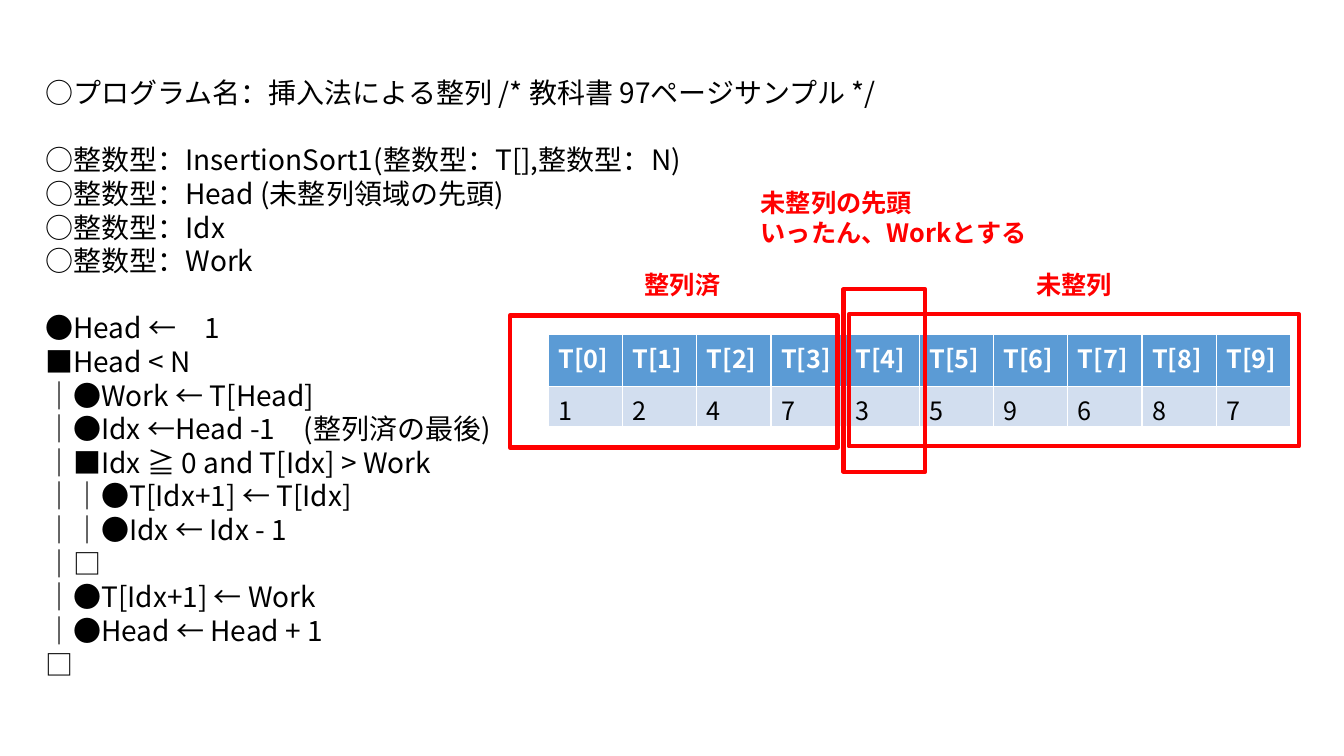
import pptx
import pptx.dml.color
import pptx.enum.shapes
import pptx.enum.text
import pptx.oxml.ns
import pptx.util
from dataclasses import dataclass

Cm, Pt = pptx.util.Cm, pptx.util.Pt

# Content: blocks of program lines, separated by a line of space
PROGRAM = [
    ["○プログラム名：挿入法による整列 /* 教科書 97ページサンプル */"],
    ["○整数型：InsertionSort1(整数型：T[],整数型：N)",
     "○整数型：Head (未整列領域の先頭)",
     "○整数型：Idx",
     "○整数型：Work"],
    ["●Head ←　1",
     "■Head < N",
     "｜●Work ← T[Head]",
     "｜●Idx ←Head -1　(整列済の最後)",
     "｜■Idx ≧ 0 and T[Idx] > Work",
     "｜｜●T[Idx+1] ← T[Idx]",
     "｜｜●Idx ← Idx - 1",
     "｜□",
     "｜●T[Idx+1] ← Work",
     "｜●Head ← Head + 1",
     "□"],
]
VALUES = [1, 2, 4, 7, 3, 5, 9, 6, 8, 7]

# Each area of the array: frame box, label lines, label box, label wraps (cm)
AREAS = [
    ((12.85, 7.95, 8.26, 3.33), ["整列済"], (16.0, 6.65, 2.44, 1.02), False),
    ((21.39, 7.92, 11.35, 3.33), ["未整列"], (25.86, 6.65, 2.44, 1.02), False),
    ((21.26, 7.29, 2.06, 4.6), ["未整列の先頭", "いったん、Workとする"],
     (18.92, 4.6, 7.21, 1.8), True),
]
PROGRAM_BOX = (0.89, 1.78, 22.02, 15.65)
TABLE_LEFT, TABLE_TOP, COLUMN = 13.82, 8.43, 1.87
ROWS = (1.3, 1.02)


@dataclass(frozen=True)
class Theme:
    font: str = "Noto Sans CJK JP"
    text: str = "000000"
    header_text: str = "FFFFFF"
    header_fill: str = "5B9BD5"
    value_fill: str = "D2DEEF"
    mark: str = "FF0000"
    program_size: int = 20
    block_gap: int = 24
    array_size: int = 18
    frame_line: int = 3


THEME = Theme()


def rgb(color):
    return pptx.dml.color.RGBColor.from_string(color)


def add_run(p, text, size, color, bold=False):
    r = p.add_run()
    r.text = text
    r.font.size = Pt(size)
    r.font.bold = bold
    r.font.color.rgb = rgb(color)
    r.font.name = THEME.font
    ea = r.font._element.makeelement(pptx.oxml.ns.qn("a:ea"), {"typeface": THEME.font})
    r.font._element.append(ea)


def add_text(s, box, blocks, size, color, bold=False, wrap=True):
    tf = s.shapes.add_textbox(*map(Cm, box)).text_frame
    tf.word_wrap = wrap
    tf.auto_size = pptx.enum.text.MSO_AUTO_SIZE.SHAPE_TO_FIT_TEXT
    p = tf.paragraphs[0]
    for b, lines in enumerate(blocks):
        for i, line in enumerate(lines):
            if b or i:
                p = tf.add_paragraph()
            if b and i == 0:
                p.space_before = Pt(THEME.block_gap)
            add_run(p, line, size, color, bold)


def add_array(s):
    # The default table style supplies the white cell borders
    table = s.shapes.add_table(2, len(VALUES), Cm(TABLE_LEFT), Cm(TABLE_TOP),
                               Cm(COLUMN * len(VALUES)), Cm(sum(ROWS))).table
    for row, height in zip(table.rows, ROWS):
        row.height = Cm(height)
    for i, value in enumerate(VALUES):
        table.columns[i].width = Cm(COLUMN)
        styles = [(f"T[{i}]", THEME.header_fill, THEME.header_text, True),
                  (str(value), THEME.value_fill, THEME.text, False)]
        for row, (text, fill, color, bold) in enumerate(styles):
            cell = table.cell(row, i)
            cell.fill.solid()
            cell.fill.fore_color.rgb = rgb(fill)
            add_run(cell.text_frame.paragraphs[0], text, THEME.array_size, color, bold)


def add_frame(s, box):
    sp = s.shapes.add_shape(pptx.enum.shapes.MSO_SHAPE.RECTANGLE, *map(Cm, box))
    sp.shadow.inherit = False
    sp.fill.background()
    sp.line.color.rgb = rgb(THEME.mark)
    sp.line.width = Pt(THEME.frame_line)


def main():
    prs = pptx.Presentation()
    prs.slide_width, prs.slide_height = Cm(33.87), Cm(19.05)
    s = prs.slides.add_slide(prs.slide_layouts[6])

    # Program listing and array
    add_text(s, PROGRAM_BOX, PROGRAM, THEME.program_size, THEME.text)
    add_array(s)

    # Marked areas of the array
    for frame, lines, label_box, wrap in AREAS:
        add_frame(s, frame)
        add_text(s, label_box, [lines], THEME.array_size, THEME.mark, True, wrap)

    prs.save("out.pptx")


if __name__ == "__main__":
    main()
